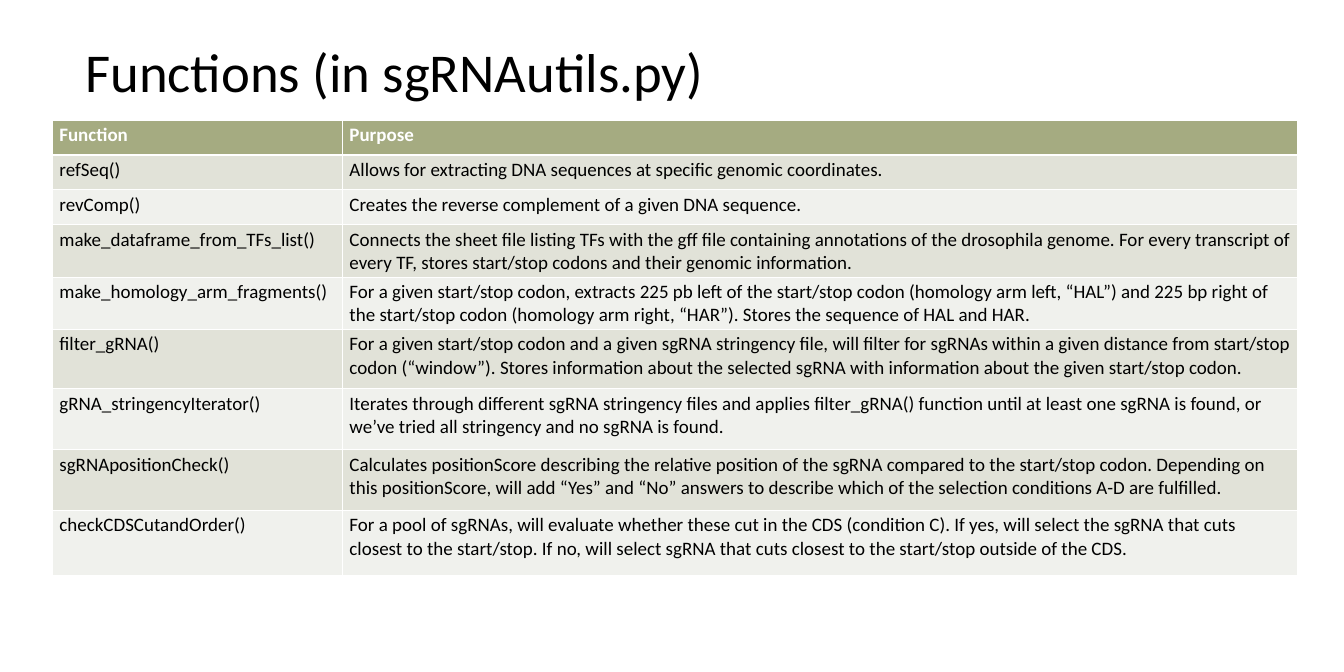
from lxml.etree import SubElement
from pptx import Presentation
from pptx.dml.color import RGBColor
from pptx.enum.text import MSO_ANCHOR
from pptx.oxml.ns import qn
from pptx.util import Inches, Pt

FONT = "Calibri"
WHITE, BLACK = "FFFFFF", "000000"
HEADER_FILL = "A5AB81"
BAND_FILLS = ["F0F1ED", "E1E2D8"]
COLUMN_WIDTHS = [4.25, 13.99]
ROW_HEIGHTS = [0.51] * 5 + [0.87, 0.89, 0.89, 0.95]
FUNCTIONS = [
    ("Function", "Purpose"),
    ("refSeq()",
     "Allows for extracting DNA sequences at specific genomic coordinates."),
    ("revComp()",
     "Creates the reverse complement of a given DNA sequence."),
    ("make_dataframe_from_TFs_list()",
     "Connects the sheet file listing TFs with the gff file containing annotations of the "
     "drosophila genome. For every transcript of every TF, stores start/stop codons and "
     "their genomic information."),
    ("make_homology_arm_fragments()",
     "For a given start/stop codon, extracts 225 pb left of the start/stop codon (homology "
     "arm left, “HAL”) and 225 bp right of the start/stop codon (homology arm right, “HAR”). "
     "Stores the sequence of HAL and HAR."),
    ("filter_gRNA()",
     "For a given start/stop codon and a given sgRNA stringency file, will filter for sgRNAs "
     "within a given distance from start/stop codon (“window”). Stores information about the "
     "selected sgRNA with information about the given start/stop codon."),
    ("gRNA_stringencyIterator()",
     "Iterates through different sgRNA stringency files and applies filter_gRNA() function "
     "until at least one sgRNA is found, or we’ve tried all stringency and no sgRNA is found."),
    ("sgRNApositionCheck()",
     "Calculates positionScore describing the relative position of the sgRNA compared to the "
     "start/stop codon. Depending on this positionScore, will add “Yes” and “No” answers to "
     "describe which of the selection conditions A-D are fulfilled."),
    ("checkCDSCutandOrder()",
     "For a pool of sgRNAs, will evaluate whether these cut in the CDS (condition C). If yes, "
     "will select the sgRNA that cuts closest to the start/stop. If no, will select sgRNA that "
     "cuts closest to the start/stop outside of the CDS."),
]


def rgb(hex_color):
    """Turn a hex string into a colour."""
    return RGBColor.from_string(hex_color)


def style_text(text_frame, size, color, bold=False):
    """Format the first paragraph of a text frame."""
    font = text_frame.paragraphs[0].runs[0].font
    font.name = FONT
    font.size = Pt(size)
    font.bold = bold
    font.color.rgb = rgb(color)


def add_title(slide, text):
    """Add the slide title."""
    title = slide.shapes.add_textbox(Inches(1.15), Inches(0.34), Inches(16.98), Inches(1.51))
    frame = title.text_frame
    frame.word_wrap = True
    frame.vertical_anchor = MSO_ANCHOR.MIDDLE
    frame.text = text
    frame.paragraphs[0].line_spacing = 0.9
    style_text(frame, 57.7, BLACK)


def add_borders(cell, widths):
    """Draw white borders of the given point widths by side."""
    properties = cell._tc.get_or_add_tcPr()
    for side, width in widths.items():
        line = SubElement(properties, qn(f"a:ln{side}"), w=str(Pt(width)))
        fill = SubElement(line, qn("a:solidFill"))
        SubElement(fill, qn("a:srgbClr"), val=WHITE)


def fill_cell(cell, text, row):
    """Write and style one table cell according to its row."""
    header = row == 0
    add_borders(cell, {"L": 1, "R": 1, "T": 3 if row == 1 else 1, "B": 3 if header else 1})
    cell.fill.solid()
    cell.fill.fore_color.rgb = rgb(HEADER_FILL if header else BAND_FILLS[row % 2])
    cell.text = text
    style_text(cell.text_frame, 20, WHITE if header else BLACK, header)


def add_function_table(slide):
    """Add the table of functions and their purposes."""
    table = slide.shapes.add_table(
        len(FUNCTIONS), len(COLUMN_WIDTHS), Inches(0.77), Inches(1.76),
        Inches(sum(COLUMN_WIDTHS)), Inches(sum(ROW_HEIGHTS))).table
    for column, width in zip(table.columns, COLUMN_WIDTHS):
        column.width = Inches(width)
    for row, (height, texts) in enumerate(zip(ROW_HEIGHTS, FUNCTIONS)):
        table.rows[row].height = Inches(height)
        for column, text in enumerate(texts):
            fill_cell(table.cell(row, column), text, row)


def main():
    """Build and save the slide."""
    presentation = Presentation()
    presentation.slide_width = Inches(19.69)
    presentation.slide_height = Inches(9.84)
    slide = presentation.slides.add_slide(presentation.slide_layouts[6])
    add_title(slide, "Functions (in sgRNAutils.py)")
    add_function_table(slide)
    presentation.save("out.pptx")


if __name__ == "__main__":
    main()
